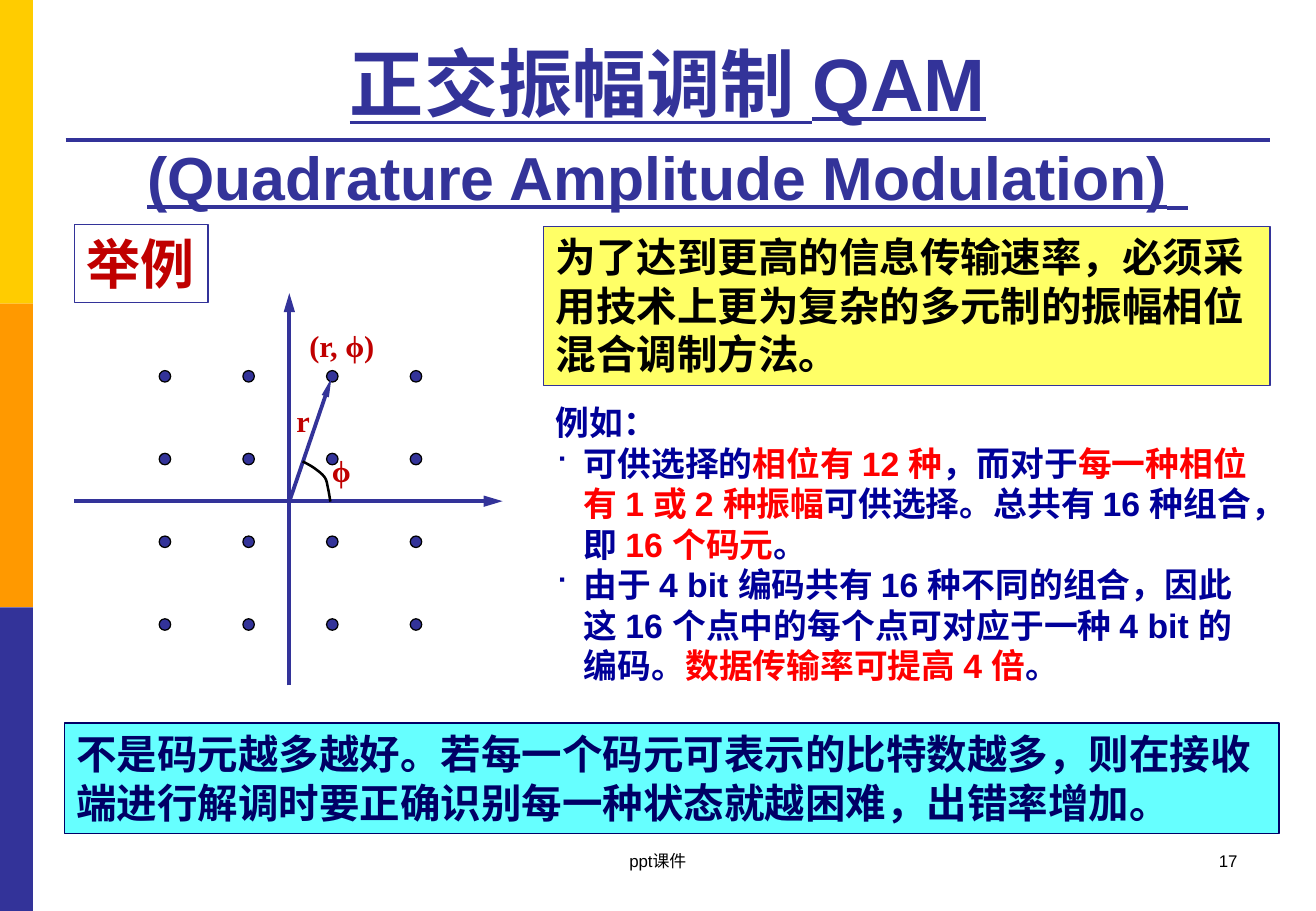
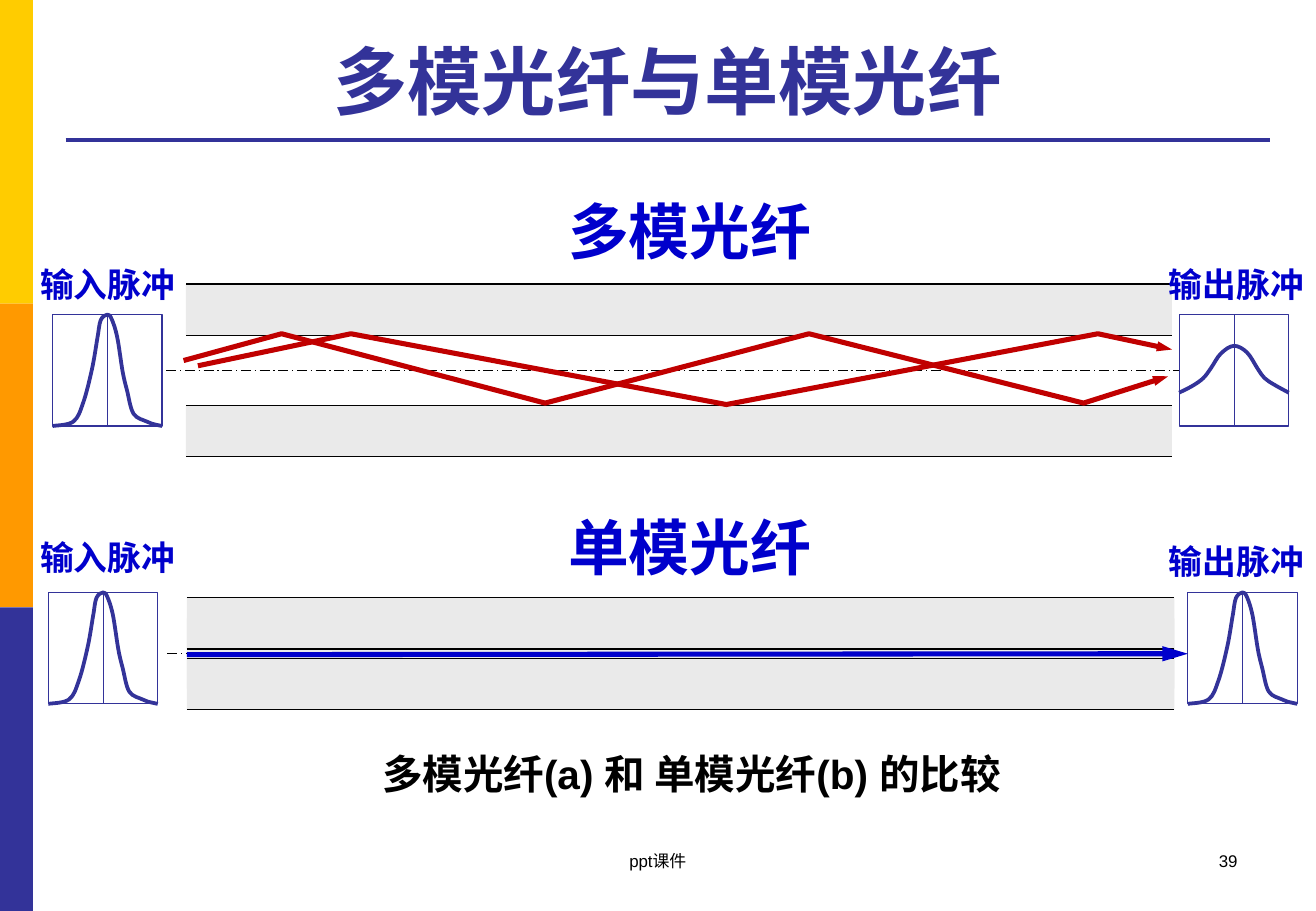
from lxml import etree
from pptx import Presentation
from pptx.dml.color import RGBColor
from pptx.enum.dml import MSO_LINE
from pptx.enum.lang import MSO_LANGUAGE_ID
from pptx.enum.shapes import MSO_CONNECTOR, MSO_SHAPE
from pptx.enum.text import MSO_ANCHOR, MSO_AUTO_SIZE, PP_ALIGN
from pptx.oxml.ns import qn
from pptx.util import Cm, Pt

RECT, DOT = MSO_SHAPE.RECTANGLE, MSO_SHAPE.OVAL
STRAIGHT = MSO_CONNECTOR.STRAIGHT
DASH = MSO_LINE.LONG_DASH_DOT
LEFT, MID, RIGHT = PP_ALIGN.LEFT, PP_ALIGN.CENTER, PP_ALIGN.RIGHT
TOP, LOW = MSO_ANCHOR.TOP, MSO_ANCHOR.BOTTOM
GROW, FIXED = MSO_AUTO_SIZE.SHAPE_TO_FIT_TEXT, MSO_AUTO_SIZE.NONE
LANG = MSO_LANGUAGE_ID.SIMPLIFIED_CHINESE

BLACK = RGBColor(0x00, 0x00, 0x00)
WHITE = RGBColor(0xFF, 0xFF, 0xFF)
GOLD = RGBColor(0xFF, 0xCC, 0x00)
ORANGE = RGBColor(0xFF, 0x99, 0x00)
INDIGO = RGBColor(0x33, 0x33, 0x99)
NAVY = RGBColor(0x00, 0x00, 0x66)
INK = RGBColor(0x00, 0x00, 0x99)
BLUE = RGBColor(0x00, 0x00, 0xCC)
CRIMSON = RGBColor(0xC0, 0x00, 0x00)
RED = RGBColor(0xFF, 0x00, 0x00)
CYAN = RGBColor(0x66, 0xFF, 0xFF)
YELLOW = RGBColor(0xFF, 0xFF, 0x66)
GREY = RGBColor(0xEA, 0xEA, 0xEA)

WIDE, HIGH = 27.52, 19.05
SANS, SERIF = "Arial", "Times New Roman"

# Arrowheads as width and length
LONG, SLIM, SHORT = ("med", "lg"), ("sm", "lg"), ("sm", "med")

# Pulse outlines as fractions of their frame
NARROW = [(0, 1), (.19, .96), (.28, .79), (.36, .49), (.41, .21),
          (.44, .05), (.5, 0), (.54, .04), (.59, .2), (.64, .51),
          (.68, .68), (.74, .89), (.86, .96), (.91, .98), (1, 1)]
BROAD = [(0, .7), (.12, .64), (.22, .57), (.29, .48), (.38, .35),
         (.5, .28), (.62, .34), (.72, .49), (.78, .57), (.87, .63), (1, .7)]


# Text helpers
def style(run, size, color, bold=True, face=SANS, under=None):
    looks = {"size": Pt(size), "bold": bold, "name": face,
             "underline": under, "language_id": LANG}
    for key, value in looks.items():
        setattr(run.font, key, value)
    run.font.color.rgb = color


def fill_para(para, parts, size, color, align=LEFT, **looks):
    """Parts are plain strings or (string, colour) pairs."""
    para.alignment = align
    for part in [parts] if isinstance(parts, str) else parts:
        words, tint = (part, color) if isinstance(part, str) else part
        run = para.add_run()
        run.text = words
        style(run, size, tint, **looks)


def set_frame(frame, **looks):
    for key, value in looks.items():
        setattr(frame, key, value)


def label(page, box, words, size, color, wrap=False, grow=GROW, **looks):
    frame = page.add_textbox(*map(Cm, box)).text_frame
    set_frame(frame, word_wrap=wrap, auto_size=grow)
    fill_para(frame.paragraphs[0], words, size, color, **looks)
    return frame


def bullet(para):
    props = para._p.get_or_add_pPr()
    props.set("marL", str(Cm(0.59)))
    props.set("indent", str(-Cm(0.59)))
    etree.SubElement(props, qn("a:buSzPct"), val="85000")
    etree.SubElement(props, qn("a:buFont"), typeface="Wingdings")
    etree.SubElement(props, qn("a:buChar"), char="■")


# Drawing helpers
def ink(item, color, width, dash=None, arrow=None):
    item.line.color.rgb = color
    item.line.width = Pt(width)
    if dash:
        item.line.dash_style = dash
    if arrow:
        ln = item.element.spPr.find(qn("a:ln"))
        etree.SubElement(ln, qn("a:tailEnd"), type="triangle",
                         w=arrow[0], len=arrow[1])


def block(page, box, fill=None, line=None, width=0.75, kind=RECT):
    item = page.add_shape(kind, *map(Cm, box))
    item.shadow.inherit = False
    if fill is None:
        item.fill.background()
    else:
        item.fill.solid()
        item.fill.fore_color.rgb = fill
    if line is None:
        item.line.fill.background()
    else:
        ink(item, line, width)
    return item


def note(page, box, words, size, color, fill, line, wrap=True):
    frame = block(page, box, fill, line).text_frame
    set_frame(frame, word_wrap=wrap, auto_size=GROW, vertical_anchor=TOP)
    fill_para(frame.paragraphs[0], words, size, color)


def rule(page, start, end, color, width, **looks):
    item = page.add_connector(STRAIGHT, *map(Cm, (*start, *end)))
    ink(item, color, width, **looks)
    etree.SubElement(item.element.spPr, qn("a:effectLst"))
    return item


def trace(page, x, y, points, color, width, **looks):
    """Open outline through points given relative to (x, y)."""
    spots = [(Cm(x + dx), Cm(y + dy)) for dx, dy in points]
    form = page.build_freeform(*spots[0])
    form.add_line_segments(spots[1:], close=False)
    item = form.convert_to_shape()
    item.shadow.inherit = False
    item.fill.background()
    ink(item, color, width, **looks)
    return item


def bend(item):
    """Turn the straight segments into smooth Bezier curves."""
    root = item.element
    spots = [(int(pt.get("x")), int(pt.get("y")))
             for pt in root.iter(qn("a:pt"))]
    ends = [spots[0], *spots, spots[-1]]
    parts = root.findall(".//" + qn("a:lnTo"))
    for part, a, b, c, d in zip(parts, ends, ends[1:], ends[2:], ends[3:]):
        part.tag = qn("a:cubicBezTo")
        pulls = ([q + (r - p) / 6 for p, q, r in zip(a, b, c)],
                 [q - (r - p) / 6 for p, q, r in zip(b, c, d)])
        for i, (x, y) in enumerate(pulls):
            part.insert(i, part.makeelement(
                qn("a:pt"), x=str(round(x)), y=str(round(y))))


# Shared parts
def dress(master, page):
    """Draw the side bands and title rule, then move them to the master."""
    band = HIGH / 3
    parts = [block(page, (0, i * band, 0.69, band), tint)
             for i, tint in enumerate((GOLD, ORANGE, INDIGO))]
    parts.append(rule(page, (1.37, 2.92), (26.56, 2.92), INDIGO, 2.25))
    for i, part in enumerate(parts):
        part.element.xpath(".//p:cNvPr")[0].set("id", str(100 + i))
        master.shapes.element.append(part.element)


def start(deck, lines, high, number, under=None):
    """Add a slide with its title and footer; lines hold (text, size) runs."""
    slide = deck.slides.add_slide(deck.slide_layouts[5])
    page = slide.shapes
    title = page.title
    spot = {"left": 1.38, "top": 0.54, "width": 25.17, "height": high}
    for key, value in spot.items():
        setattr(title, key, Cm(value))
    frame = title.text_frame
    set_frame(frame, word_wrap=True, auto_size=FIXED, vertical_anchor=LOW)
    para = frame.paragraphs[0]
    for i, runs in enumerate(lines):
        if i:
            para.add_line_break()
        for words, size in runs:
            fill_para(para, words, size, INDIGO, align=MID, under=under)
    foot = {"wrap": True, "grow": FIXED, "bold": False}
    label(page, (19.7, 17.66, 6.43, 1.27), number, 10, BLACK,
          align=RIGHT, **foot)
    label(page, (9.4, 17.66, 8.71, 1.27), "ppt课件", 10, BLACK,
          align=MID, **foot)
    return page


# Slide 1 regions
def plot_qam(page, x, y):
    """Signal points around the origin (x, y)."""
    rule(page, (x, y + 3.84), (x, y - 4.36), INDIGO, 2.25, arrow=LONG)
    for row in range(4):
        for col in range(4):
            block(page, (x - 2.72 + 1.75 * col, y - 2.74 + 1.73 * row,
                         0.24, 0.24), INDIGO, BLACK, kind=DOT)
    rule(page, (x - 4.5, y - 0.01), (x + 4.46, y - 0.01), INDIGO, 2.25,
         arrow=LONG)
    rule(page, (x, y), (x + 0.88, y - 2.58), INDIGO, 2.25, arrow=SLIM)
    arc = [(.28, -.84), (.51, -.71), (.74, -.51), (.81, -.28), (.86, 0)]
    bend(trace(page, x, y, arc, BLACK, 1.5))
    for dx, dy, wide, words in ((-0.1, -2.21, 0.79, "r"),
                                (0.64, -1.16, 0.89, "ϕ"),
                                (0.17, -3.77, 1.88, "(r, ϕ)")):
        label(page, (x + dx, y + dy, wide, 1.02), words, 18, CRIMSON,
              face=SERIF)


def list_facts(page, box):
    frame = label(page, box, "例如：", 20, INK, wrap=True)
    facts = [
        ["可供选择的", ("相位有 12 种", RED), "，而对于",
         ("每一种相位有 1 或 2 种振幅", RED),
         "可供选择。总共有 16 种组合，即 ", ("16 个码元", RED), "。"],
        ["由于 4 bit 编码共有 16 种不同的组合，因此这 16 个点中的每个点"
         "可对应于一种 4 bit 的编码。", ("数据传输率可提高 4 倍", RED), "。"],
    ]
    for parts in facts:
        para = frame.add_paragraph()
        bullet(para)
        fill_para(para, parts, 20, INK)


def show_qam(page):
    plot_qam(page, 6.05, 10.49)
    note(page, (1.35, 15.12, 25.4, 2.31),
         "不是码元越多越好。若每一个码元可表示的比特数越多，则在接收端进行"
         "解调时要正确识别每一种状态就越困难，出错率增加。",
         24, NAVY, CYAN, NAVY)
    note(page, (1.56, 4.7, 2.79, 1.63), "举例", 32, CRIMSON, None, INDIGO,
         wrap=False)
    note(page, (11.37, 4.73, 15.19, 3.33),
         "为了达到更高的信息传输速率，必须采用技术上更为复杂的多元制的"
         "振幅相位混合调制方法。", 24, BLACK, YELLOW, INDIGO)
    list_facts(page, (11.37, 8.28, 15.19, 6.25))


# Slide 2 regions
def fibre(page, x, y, wide, core):
    """Two claddings of equal height around a core, with its axis."""
    clad = 1.07
    edges = (y, y + clad, y + clad + core, y + 2 * clad + core)
    for high in edges[::2]:
        block(page, (x, high, wide, clad), GREY)
    for edge in edges:
        rule(page, (x, edge), (x + wide, edge), BLACK, 0.75)
    axis = y + clad + core / 2
    rule(page, (x - 0.41, axis), (x + wide + 0.33, axis), BLACK, 0.75,
         dash=DASH)


def pulse(page, x, y, shape, words, left, lift, edge):
    wide, high = 2.29, 2.33
    block(page, (x, y, wide, high), WHITE, INDIGO, edge)
    rule(page, (x + wide / 2, y), (x + wide / 2, y + high), INDIGO, 0.5)
    curve = [(u * wide, v * high) for u, v in shape]
    bend(trace(page, x, y, curve, INDIGO, 2.25))
    label(page, (left, y - lift, 3.35, 1.12), words, 20, BLUE)


def show_modes(page):
    # The thin core is grey and lies behind its claddings
    block(page, (3.91, 12.93, 20.65, 1.47), GREY)
    fibre(page, 3.91, 12.5, 20.65, 0.2)
    fibre(page, 3.89, 5.94, 20.62, 1.47)

    # Light rays
    rays = [
        [(.25, 1.71), (3.45, 1.04), (11.3, 2.52), (19.07, 1.04),
         (20.62, 1.37)],
        [(-.05, 1.6), (2, 1.04), (7.51, 2.49), (13.03, 1.04),
         (18.77, 2.49), (20.54, 1.93)],
    ]
    for ray in rays:
        trace(page, 3.89, 5.94, ray, CRIMSON, 3, arrow=SHORT)

    # Pulses at both ends of each fibre
    enter, leave = ("输入脉冲", 0.59), ("输出脉冲", 24.19)
    for x, y, shape, (words, left), lift, edge in (
            (1.1, 6.58, NARROW, enter, 1.18, 0.75),
            (24.66, 6.58, BROAD, leave, 1.19, 0.75),
            (1.01, 12.39, NARROW, enter, 1.29, 0.5),
            (24.84, 12.39, NARROW, leave, 1.21, 0.5)):
        pulse(page, x, y, shape, words, left, lift, edge)
    rule(page, (3.91, 13.69), (24.84, 13.67), BLUE, 3, arrow=LONG)

    # Headings and caption
    for words, y in (("多模光纤", 3.93), ("单模光纤", 10.53)):
        label(page, (11.63, y, 5.64, 1.8), words, 36, BLUE)
    label(page, (5.76, 15.53, 17.4, 1.3),
          "多模光纤(a) 和 单模光纤(b) 的比较", 24, BLACK, wrap=True, align=MID)


def main():
    deck = Presentation()
    deck.slide_width, deck.slide_height = Cm(WIDE), Cm(HIGH)
    page = start(deck, [[("正交振幅调制 QAM", 44)],
                        [("(Quadrature Amplitude Modulation)", 36),
                         (" ", 44)]], 4.09, "17", under=True)
    dress(deck.slide_master, page)
    show_qam(page)
    show_modes(start(deck, [[("多模光纤与单模光纤", 44)]], 2.19, "39"))
    deck.save("out.pptx")


if __name__ == "__main__":
    main()
